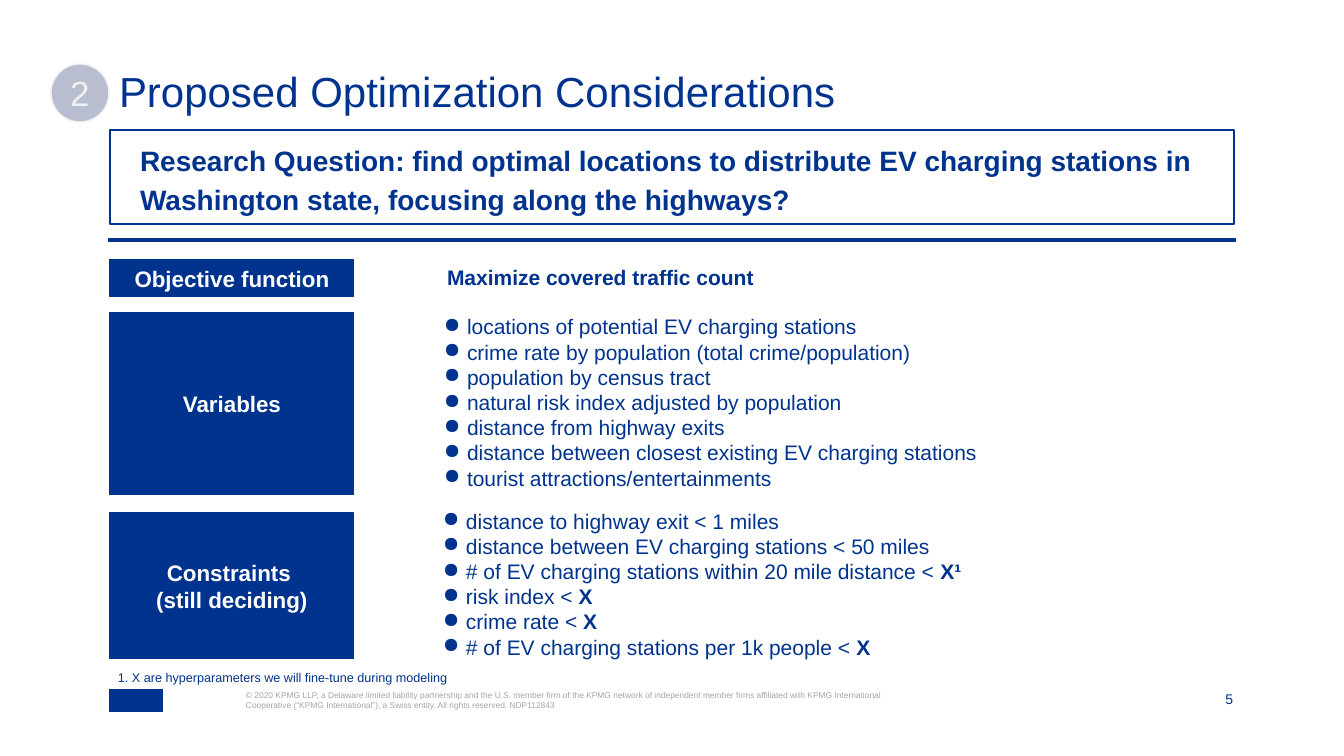
from lxml.etree import SubElement
from pptx import Presentation
from pptx.dml.color import RGBColor
from pptx.enum.shapes import MSO_CONNECTOR, MSO_SHAPE
from pptx.enum.text import MSO_ANCHOR, MSO_AUTO_SIZE, PP_ALIGN
from pptx.oxml.ns import qn
from pptx.util import Pt

NAVY = RGBColor(0x00, 0x33, 0x8D)
WHITE = RGBColor(0xFF, 0xFF, 0xFF)
GREY = RGBColor(0xA5, 0xA5, 0xA5)
BADGE_FILL = RGBColor(0xB9, 0xBD, 0xD0)
BADGE_LINE = RGBColor(0xF0, 0xF0, 0xF0)
FONT = "Arial"

SLIDE_WIDTH, SLIDE_HEIGHT = 1344, 756
EMU_PER_PX = 12192000 / SLIDE_WIDTH
LEFT, CONTENT_WIDTH = 110, 1124
INSET = 10

# Each row: top, height, label lines, body left, body top, bulleted, items.
# An item is a plain part followed by a bold part.
ROWS = [
    (260, 37, ["Objective function"], 437, 255, False,
     [("", "Maximize covered traffic count")]),
    (313, 182, ["Variables"], 426, 304, True, [
        ("locations of potential EV charging stations", ""),
        ("crime rate by population (total crime/population)", ""),
        ("population by census tract", ""),
        ("natural risk index adjusted by population", ""),
        ("distance from highway exits", ""),
        ("distance between closest existing EV charging stations", ""),
        ("tourist attractions/entertainments", ""),
    ]),
    (513, 146, ["Constraints ", "(still deciding)"], 425, 498, True, [
        ("distance to highway exit < 1 miles", ""),
        ("distance between EV charging stations < 50 miles", ""),
        ("# of EV charging stations within 20 mile distance < ", "X¹"),
        ("risk index < ", "X"),
        ("crime rate < ", "X"),
        ("# of EV charging stations per 1k people < ", "X"),
    ]),
]


def px(length):
    return round(length * EMU_PER_PX)


def place(box):
    return [px(length) for length in box]


def set_frame(shape, anchor=MSO_ANCHOR.TOP, inset=INSET):
    frame = shape.text_frame
    frame.word_wrap = True
    frame.auto_size = MSO_AUTO_SIZE.NONE
    frame.vertical_anchor = anchor
    frame.margin_left = frame.margin_right = px(inset)
    frame.margin_top = frame.margin_bottom = px(inset)
    return frame


def add_run(paragraph, text, size, color, bold=False):
    run = paragraph.add_run()
    run.text = text
    run.font.name = FONT
    run.font.size = Pt(size)
    run.font.bold = bold
    run.font.color.rgb = color


def add_bullet(paragraph):
    properties = paragraph._p.get_or_add_pPr()
    properties.set("marL", str(px(31)))
    properties.set("indent", str(px(-23)))
    bullet_color = SubElement(properties, qn("a:buClr"))
    SubElement(bullet_color, qn("a:srgbClr")).set("val", str(NAVY))
    SubElement(properties, qn("a:buChar")).set("char", "●")


def add_paragraphs(frame, items, size, color, align=PP_ALIGN.LEFT, bulleted=False):
    for index, (plain, strong) in enumerate(items):
        paragraph = frame.add_paragraph() if index else frame.paragraphs[0]
        if bulleted:
            add_bullet(paragraph)
        paragraph.alignment = align
        for text, bold in ((plain, False), (strong, True)):
            if text:
                add_run(paragraph, text, size, color, bold)


def add_block(slide, kind, box, fill, line, line_width):
    shape = slide.shapes.add_shape(kind, *place(box))
    shape.shadow.inherit = False
    if fill is None:
        shape.fill.background()
    else:
        shape.fill.solid()
        shape.fill.fore_color.rgb = fill
    shape.line.color.rgb = line
    shape.line.width = Pt(line_width)
    return shape


def add_text(slide, box, items, size, color, align=PP_ALIGN.LEFT,
             anchor=MSO_ANCHOR.TOP, inset=INSET, bulleted=False):
    frame = set_frame(slide.shapes.add_textbox(*place(box)), anchor, inset)
    add_paragraphs(frame, items, size, color, align, bulleted)


def add_heading(slide, left, top, width):
    """Numbered badge and slide title."""
    title = slide.shapes.title
    title.left, title.top, title.width, title.height = place((left + 9, top + 1, width, 58))
    frame = set_frame(title, MSO_ANCHOR.MIDDLE, 0)
    add_paragraphs(frame, [("Proposed Optimization Considerations", "")], 30, NAVY)
    frame.paragraphs[0].line_spacing = 0.9

    badge = add_block(slide, MSO_SHAPE.OVAL, (left - 59, top, 58, 58),
                      BADGE_FILL, BADGE_LINE, 1)
    add_paragraphs(set_frame(badge, MSO_ANCHOR.MIDDLE), [("2", "")], 25,
                   BADGE_LINE, PP_ALIGN.CENTER)


def add_question(slide, left, top, width):
    """Framed research question with a rule below it."""
    panel = add_block(slide, MSO_SHAPE.RECTANGLE, (left, top, width, 94), None, NAVY, 1.5)
    frame = set_frame(panel, MSO_ANCHOR.MIDDLE)
    add_paragraphs(frame, [("", "Research Question: find optimal locations to distribute EV "
                                "charging stations in Washington state, focusing along the "
                                "highways?")], 20, NAVY)
    paragraph = frame.paragraphs[0]
    paragraph.line_spacing = 1.15
    paragraph._p.get_or_add_pPr().set("marL", str(px(20)))

    rule = slide.shapes.add_connector(MSO_CONNECTOR.STRAIGHT, *place(
        (left - 2, top + 110, left + width + 2, top + 110)))
    rule.line.color.rgb = NAVY
    rule.line.width = Pt(3)
    SubElement(rule._element.spPr, qn("a:effectLst"))


def add_row(slide, top, height, label, body_left, body_top, bulleted, items):
    """Label block on the left with its text on the right."""
    block = add_block(slide, MSO_SHAPE.RECTANGLE, (LEFT, top, 244, height), NAVY, NAVY, 0.75)
    add_paragraphs(set_frame(block, MSO_ANCHOR.MIDDLE), [("", line) for line in label],
                   16, WHITE, PP_ALIGN.CENTER)
    body_height = 2 * (top - body_top) + height
    add_text(slide, (body_left, body_top, 742, body_height), items, 15, NAVY,
             bulleted=bulleted)


def add_footer(slide, left, top, width):
    """Footnote, emblem block, copyright line and page number."""
    add_text(slide, (left - 2, top - 30, 1003, 35),
             [("1. X are hyperparameters we will fine-tune during modeling", "")],
             9, NAVY, anchor=MSO_ANCHOR.MIDDLE)
    add_block(slide, MSO_SHAPE.RECTANGLE, (left, top, 53, 22), NAVY, NAVY, 0.75)
    add_text(slide, (left + 136, top, 644, 41),
             [("© 2020 KPMG LLP, a Delaware limited liability partnership and the U.S. member "
               "firm of the KPMG network of independent member firms affiliated with KPMG "
               "International Cooperative (“KPMG International”), a Swiss entity. All rights "
               "reserved. NDP112843", "")], 6, GREY, inset=0)
    add_text(slide, (left + width - 50, top, 49, 17), [("5", "")], 10, NAVY,
             PP_ALIGN.RIGHT, MSO_ANCHOR.BOTTOM, 0)


def main():
    presentation = Presentation()
    presentation.slide_width = px(SLIDE_WIDTH)
    presentation.slide_height = px(SLIDE_HEIGHT)
    slide = presentation.slides.add_slide(presentation.slide_layouts[5])

    add_heading(slide, LEFT, 64, CONTENT_WIDTH)
    add_question(slide, LEFT, 130, CONTENT_WIDTH)
    for row in ROWS:
        add_row(slide, *row)
    add_footer(slide, LEFT, 690, CONTENT_WIDTH)

    presentation.save("out.pptx")


if __name__ == "__main__":
    main()
